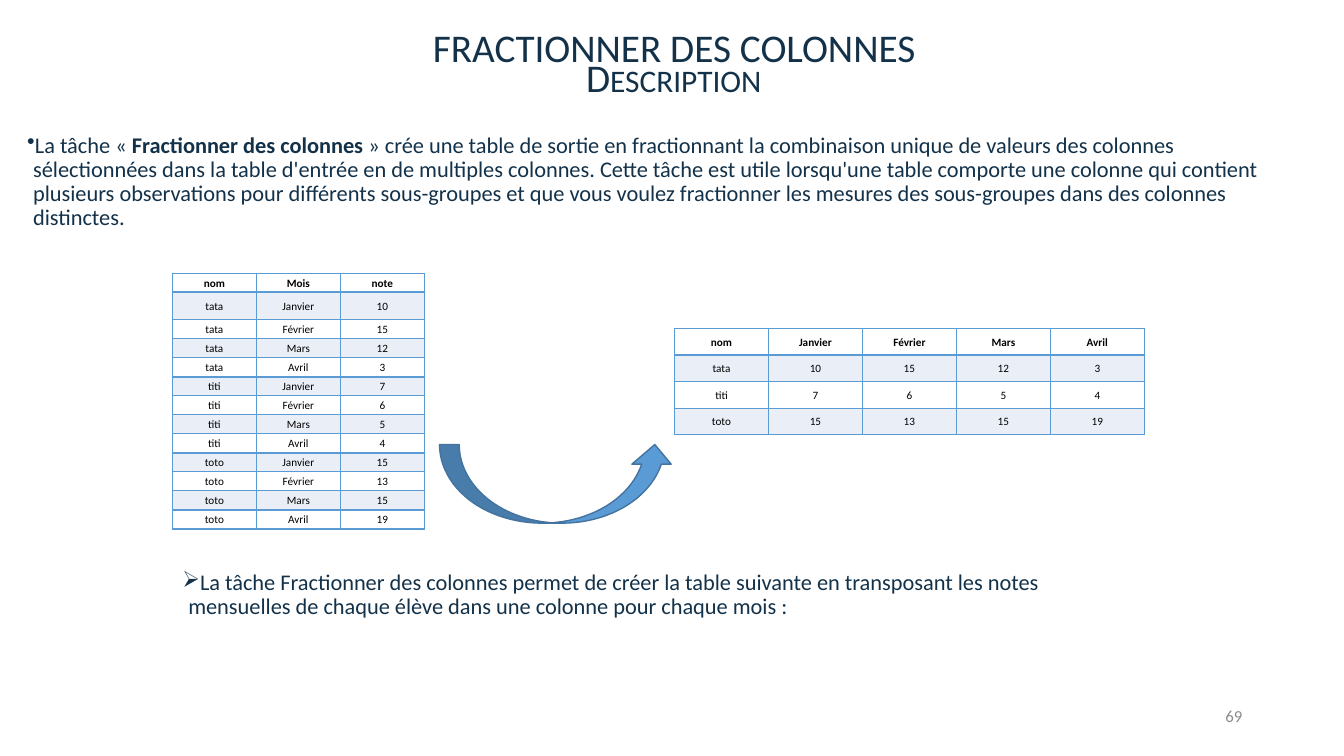
from lxml import etree
from pptx import Presentation
from pptx.dml.color import RGBColor
from pptx.enum.shapes import MSO_SHAPE
from pptx.enum.text import MSO_ANCHOR, MSO_AUTO_SIZE, PP_ALIGN
from pptx.oxml.ns import qn
from pptx.util import Inches, Pt

ARROW = MSO_SHAPE.CURVED_UP_ARROW
MID, TOP = MSO_ANCHOR.MIDDLE, MSO_ANCHOR.TOP
FIXED = MSO_AUTO_SIZE.NONE
LEFT, MIDDLE, RIGHT = PP_ALIGN.LEFT, PP_ALIGN.CENTER, PP_ALIGN.RIGHT

TITLE = "FRACTIONNER DES COLONNES"
SUB = "Description"
PAGE = "69"
INTRO = [
    ("La tâche « ", False),
    ("Fractionner des colonnes", True),
    (" » crée une table de sortie en fractionnant la combinaison unique de valeurs "
     "des colonnes sélectionnées dans la table d'entrée en de multiples colonnes. "
     "Cette tâche est utile lorsqu'une table comporte une colonne qui contient "
     "plusieurs observations pour différents sous-groupes et que vous voulez "
     "fractionner les mesures des sous-groupes dans des colonnes distinctes.", False),
]
NOTE = ("La tâche Fractionner des colonnes permet de créer la table suivante en "
        "transposant les notes mensuelles de chaque élève dans une colonne pour "
        "chaque mois :")
MONTHS = ["Janvier", "Février", "Mars", "Avril"]
MARKS = {"tata": [10, 15, 12, 3], "titi": [7, 6, 5, 4], "toto": [15, 13, 15, 19]}

LONG = [["nom", "Mois", "note"]] + [
    [name, month, mark] for name, marks in MARKS.items()
    for month, mark in zip(MONTHS, marks)]
WIDE = [["nom"] + MONTHS] + [[name] + marks for name, marks in MARKS.items()]

THEME = {
    "font": "Calibri", "ink": "13324A", "grey": "8C8C8C", "black": "000000",
    "blue": "5B9BD5", "edge": "43739E", "band": "EAEFF7",
    "head": 28, "body": 16, "page": 12, "cell": 8, "thin": 1, "thick": 1.5,
}

STEP = Inches(0.1)
SPOTS = {
    "title": (17.8, 2.3, 98.1, 5.2),
    "sub": (17.8, 5.3, 98.1, 5.2),
    "page": (94.2, 69.5, 30, 4),
    "intro": (1.7, 12.8, 124.4, 13.7),
    "note": (17.1, 56.2, 96.4, 6.6),
    "arrow": (43.6, 44.1, 23.3, 7.8),
    "long": (17.1, 27.1, 25, 25.4),
    "wide": (66.9, 32.6, 46.6, 10.5),
}


def put(item, **vals):
    for name, val in vals.items():
        setattr(item, name, val)


def area(key):
    return [int(n * STEP) for n in SPOTS[key]]


def tint(key):
    return RGBColor.from_string(THEME[key])


def write(para, runs, size, ink, align=LEFT, space=None):
    put(para, alignment=align, line_spacing=space)
    for words, bold in runs:
        run = para.add_run()
        run.text = words
        put(run.font, name=THEME["font"], size=Pt(THEME[size]), bold=bold)
        run.font.color.rgb = tint(ink)


def fill_box(box, runs, size, ink="ink", align=LEFT, space=0.9, anchor=TOP, mark=None):
    frame = box.text_frame
    put(frame, word_wrap=True, auto_size=FIXED, vertical_anchor=anchor)
    para = frame.paragraphs[0]
    if mark:
        props = para._p.get_or_add_pPr()
        props.set("marL", str(Inches(0.06)))
        props.set("indent", str(Inches(-0.31)))
        etree.SubElement(props, qn("a:buChar"), char=mark)
    write(para, runs, size, ink, align, space)
    return para


def edge(cell, side, width):
    line = etree.SubElement(cell._tc.get_or_add_tcPr(), qn("a:ln" + side),
                            w=str(Pt(width)))
    solid = etree.SubElement(line, qn("a:solidFill"))
    etree.SubElement(solid, qn("a:srgbClr"), val=THEME["blue"])


def add_grid(slide, key, data, heights, thick):
    left, top, width, height = area(key)
    grid = slide.shapes.add_table(len(data), len(data[0]), left, top, width, height).table
    put(grid, first_row=False, horz_banding=False)
    for col in grid.columns:
        col.width = width // len(data[0])
    for r, vals in enumerate(data):
        grid.rows[r].height = int(heights[r] * STEP)
        for c, val in enumerate(vals):
            cell = grid.cell(r, c)
            inset = Inches(0.01)
            put(cell, vertical_anchor=MID, margin_left=inset, margin_right=inset,
                margin_top=inset, margin_bottom=0)
            above = "thick" if r - 1 in thick else "thin"
            below = "thick" if r in thick else "thin"
            for side, kind in zip("LRTB", ("thin", "thin", above, below)):
                edge(cell, side, THEME[kind])
            if r % 2:
                cell.fill.solid()
                cell.fill.fore_color.rgb = tint("band")
            else:
                cell.fill.background()
            write(cell.text_frame.paragraphs[0], [(str(val), r == 0)],
                  "cell", "black", MIDDLE)


def main():
    deck = Presentation()
    put(deck, slide_width=Inches(13.33), slide_height=Inches(7.5))
    slide = deck.slides.add_slide(deck.slide_layouts[5])
    shapes = slide.shapes

    head = shapes.title
    put(head, **dict(zip(("left", "top", "width", "height"), area("title"))))
    fill_box(head, [(TITLE, False)], "head", align=MIDDLE, anchor=MID)

    page = shapes.add_textbox(*area("page"))
    fill_box(page, [(PAGE, False)], "page", "grey", RIGHT, 1.0)

    sub = shapes.add_textbox(*area("sub"))
    para = fill_box(sub, [(SUB, False)], "head", align=MIDDLE, anchor=MID)
    para.runs[0].font._element.set("cap", "small")

    for key, runs, mark in (("intro", INTRO, "•"), ("note", [(NOTE, False)], "➢")):
        fill_box(shapes.add_textbox(*area(key)), runs, "body", mark=mark)

    arrow = shapes.add_shape(ARROW, *area("arrow"))
    arrow.shadow.inherit = False
    arrow.fill.solid()
    arrow.fill.fore_color.rgb = tint("blue")
    arrow.line.color.rgb = tint("edge")
    arrow.line.width = Pt(THEME["thin"])

    add_grid(slide, "wide", WIDE, [2.63] * len(WIDE), {0})
    rows = [1.9, 2.7] + [1.89] * (len(LONG) - 2)
    add_grid(slide, "long", LONG, rows, {0, 4, 8})

    deck.save("out.pptx")


if __name__ == "__main__":
    main()
